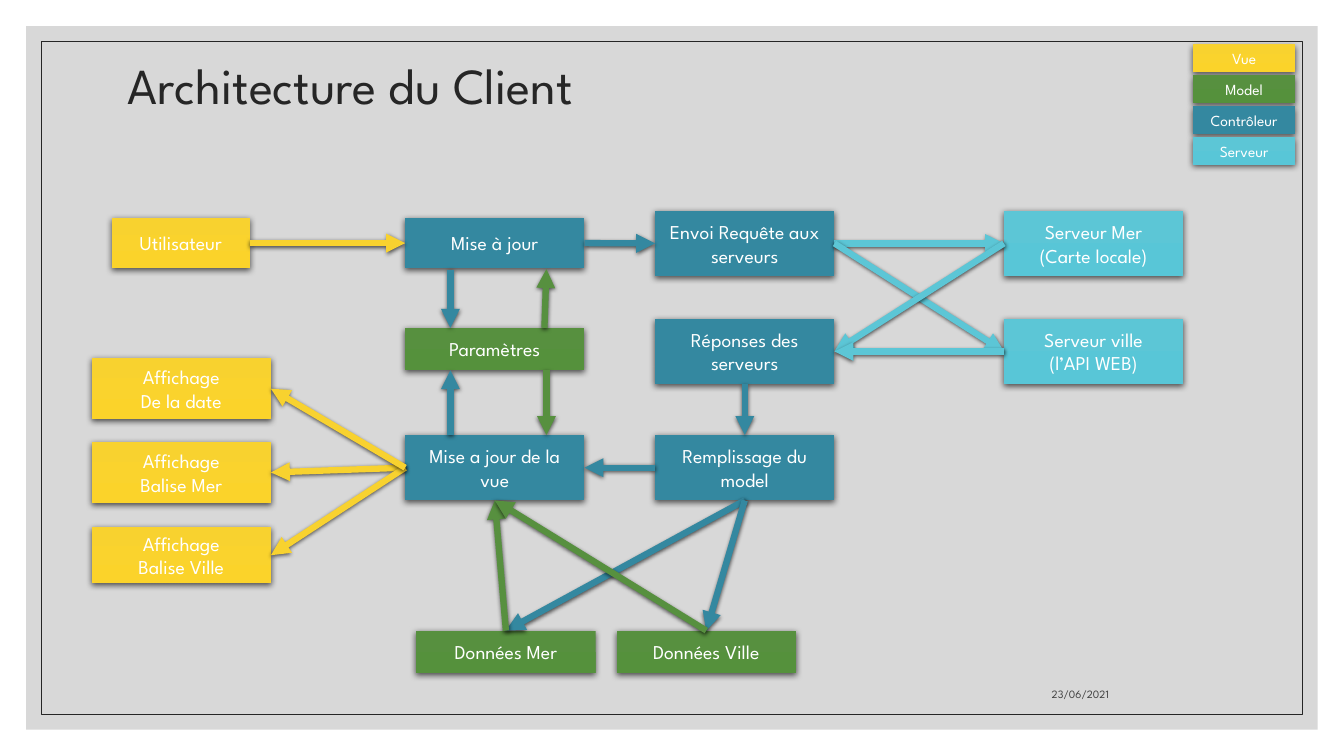
from dataclasses import dataclass

from lxml import etree
from pptx import Presentation
from pptx.dml.color import RGBColor
from pptx.enum.shapes import MSO_CONNECTOR, MSO_SHAPE
from pptx.enum.text import MSO_ANCHOR as ANCHOR, PP_ALIGN as ALIGN
from pptx.oxml.ns import qn
from pptx.util import Cm, Pt


@dataclass(frozen=True)
class Theme:
    font = "League Spartan"
    title_size, box_size, legend_size, date_size = 36, 14, 11, 8
    ink, date_ink, white, panel = "262626", "404040", "FFFFFF", "BFBFBF"
    # Each role has the two ends of its gradient; arrows use the first.
    roles = {
        "Vue": ("F8D22F", "FBD32A"),
        "Model": ("57903F", "55913C"),
        "Contrôleur": ("3488A0", "3188A1"),
        "Serveur": ("5CC6D6", "58C6D7"),
    }


theme = Theme()


def write_text(shape, text, size, color, alignment, anchor):
    frame = shape.text_frame
    frame.word_wrap = True
    frame.vertical_anchor = anchor
    frame.text = text
    for paragraph in frame.paragraphs:
        paragraph.alignment = alignment
        font = paragraph.font
        for name, value in {"name": theme.font, "size": Pt(size)}.items():
            setattr(font, name, value)
        font.color.rgb = RGBColor.from_string(color)


def add_shadow(shape, blur, distance):
    """Give the shape a soft black shadow below it, in points."""
    properties = shape.element.spPr
    effects = properties.find(qn("a:effectLst"))
    if effects is None:
        effects = etree.SubElement(properties, qn("a:effectLst"))
    shadow = etree.SubElement(effects, qn("a:outerShdw"), {
        "blurRad": str(Pt(blur)), "dist": str(Pt(distance)),
        "dir": "5400000", "algn": "ctr", "rotWithShape": "0",
    })
    black = etree.SubElement(shadow, qn("a:srgbClr"), val="000000")
    etree.SubElement(black, qn("a:alpha"), val="63000")


presentation = Presentation()
presentation.slide_width = Cm(33.87)
presentation.slide_height = Cm(19.05)
slide = presentation.slides.add_slide(presentation.slide_layouts[6])
shapes = slide.shapes

# Grey panel and its thin frame
panel, frame_line = [
    shapes.add_shape(MSO_SHAPE.RECTANGLE, Cm(inset), Cm(inset),
                     presentation.slide_width - Cm(2 * inset),
                     presentation.slide_height - Cm(2 * inset))
    for inset in (0.66, 1.04)
]
panel.shadow.inherit = frame_line.shadow.inherit = False
panel.fill.solid()
panel.fill.fore_color.rgb = RGBColor.from_string(theme.panel)
panel_color = panel.element.spPr.find(qn("a:solidFill"))[0]
etree.SubElement(panel_color, qn("a:alpha"), val="60000")
panel.line.fill.background()
frame_line.fill.background()
frame_line.line.color.rgb = RGBColor.from_string(theme.ink)
frame_line.line.width = Pt(0.5)

# Title and date
title = shapes.add_textbox(Cm(2.97), Cm(1.5), Cm(27.94), Cm(1.45))
write_text(title, "Architecture du Client", theme.title_size, theme.ink,
           ALIGN.LEFT, ANCHOR.MIDDLE)
title.text_frame.paragraphs[0].line_spacing = 0.9
date = shapes.add_textbox(Cm(20.17), Cm(16.76), Cm(8.03), Cm(1.02))
write_text(date, "23/06/2021", theme.date_size, theme.date_ink,
           ALIGN.RIGHT, ANCHOR.BOTTOM)

# Boxes: key, role, text, left, top, width, height, text size
VIEW_X, UPDATE_X, REQUEST_X, SERVER_X = 2.31, 10.21, 16.51, 25.3
WIDE, TALL, LOW = 4.52, 1.65, 1.07
diagram = [
    ("user", "Vue", "Utilisateur", 2.82, 5.49, 3.48, 1.27),
    ("update", "Contrôleur", "Mise à jour", UPDATE_X, 5.49, WIDE, 1.27),
    ("settings", "Model", "Paramètres", UPDATE_X, 8.26, WIDE, LOW),
    ("refresh", "Contrôleur", "Mise a jour de la vue", UPDATE_X, 10.96, WIDE, TALL),
    ("send", "Contrôleur", "Envoi Requête aux serveurs", REQUEST_X, 5.31, WIDE, TALL),
    ("answers", "Contrôleur", "Réponses des serveurs", REQUEST_X, 8.03, WIDE, TALL),
    ("filling", "Contrôleur", "Remplissage du model", REQUEST_X, 10.96, WIDE, TALL),
    ("sea server", "Serveur", "Serveur Mer\n(Carte locale)", SERVER_X, 5.31, WIDE, TALL),
    ("city server", "Serveur", "Serveur ville\n(l’API WEB)", SERVER_X, 8.03, WIDE, TALL),
    ("date view", "Vue", "Affichage\nDe la date", VIEW_X, 9.02, WIDE, 1.55),
    ("sea view", "Vue", "Affichage\nBalise Mer", VIEW_X, 11.13, WIDE, 1.55),
    ("city view", "Vue", "Affichage\nBalise Ville", VIEW_X, 13.28, WIDE, 1.42),
    ("sea data", "Model", "Données Mer", 10.49, 15.89, WIDE, LOW),
    ("city data", "Model", "Données Ville", 15.54, 15.89, WIDE, LOW),
]
legend = [(role, role, role, 30.07, 1.12 + 0.78 * row, 2.57, 0.69)
          for row, role in enumerate(theme.roles)]

boxes = {}
for group, size in ((diagram, theme.box_size), (legend, theme.legend_size)):
    for key, role, text, *place in group:
        box = shapes.add_shape(MSO_SHAPE.RECTANGLE, *map(Cm, place))
        box.fill.gradient()
        box.fill.gradient_angle = 270
        for stop, color in zip(box.fill.gradient_stops, theme.roles[role]):
            stop.color.rgb = RGBColor.from_string(color)
        box.line.fill.background()
        box.shadow.inherit = False
        add_shadow(box, 4.5, 1.5)
        write_text(box, text, size, theme.white, ALIGN.CENTER, ANCHOR.MIDDLE)
        boxes[key] = box

# Arrows glued to the middle of a box side
TOP, LEFT, BOTTOM, RIGHT = range(4)
glued_arrows = [
    ("Vue", "user", RIGHT, "update", LEFT),
    ("Contrôleur", "update", RIGHT, "send", LEFT),
    ("Serveur", "send", RIGHT, "sea server", LEFT),
    ("Serveur", "send", RIGHT, "city server", LEFT),
    ("Serveur", "sea server", LEFT, "answers", RIGHT),
    ("Serveur", "city server", LEFT, "answers", RIGHT),
    ("Contrôleur", "answers", BOTTOM, "filling", TOP),
    ("Contrôleur", "filling", LEFT, "refresh", RIGHT),
    ("Contrôleur", "filling", BOTTOM, "sea data", TOP),
    ("Contrôleur", "filling", BOTTOM, "city data", TOP),
    ("Vue", "refresh", LEFT, "sea view", RIGHT),
    ("Vue", "refresh", LEFT, "city view", RIGHT),
    ("Vue", "refresh", LEFT, "date view", RIGHT),
    ("Model", "sea data", TOP, "refresh", BOTTOM),
    ("Model", "city data", TOP, "refresh", BOTTOM),
]
# Arrows around the settings box, off the middle of its sides
free_arrows = [
    ("Contrôleur", 11.35, 6.8, 11.35, 8.26),
    ("Model", 13.72, 8.26, 13.77, 6.78),
    ("Contrôleur", 11.35, 10.96, 11.35, 9.33),
    ("Model", 13.77, 9.33, 13.77, 10.96),
]

arrows = []
for role, start, start_side, end, end_side in glued_arrows:
    arrow = shapes.add_connector(MSO_CONNECTOR.STRAIGHT, 0, 0, 0, 0)
    arrow.begin_connect(boxes[start], start_side)
    arrow.end_connect(boxes[end], end_side)
    arrows.append((role, arrow))
for role, *points in free_arrows:
    arrow = shapes.add_connector(MSO_CONNECTOR.STRAIGHT, *map(Cm, points))
    arrows.append((role, arrow))

for role, arrow in arrows:
    arrow.line.color.rgb = RGBColor.from_string(theme.roles[role][0])
    arrow.line.width = Pt(4.5)
    outline = arrow.element.spPr.find(qn("a:ln"))
    etree.SubElement(outline, qn("a:tailEnd"), type="triangle")
    add_shadow(arrow, 3, 1)

presentation.save("out.pptx")
